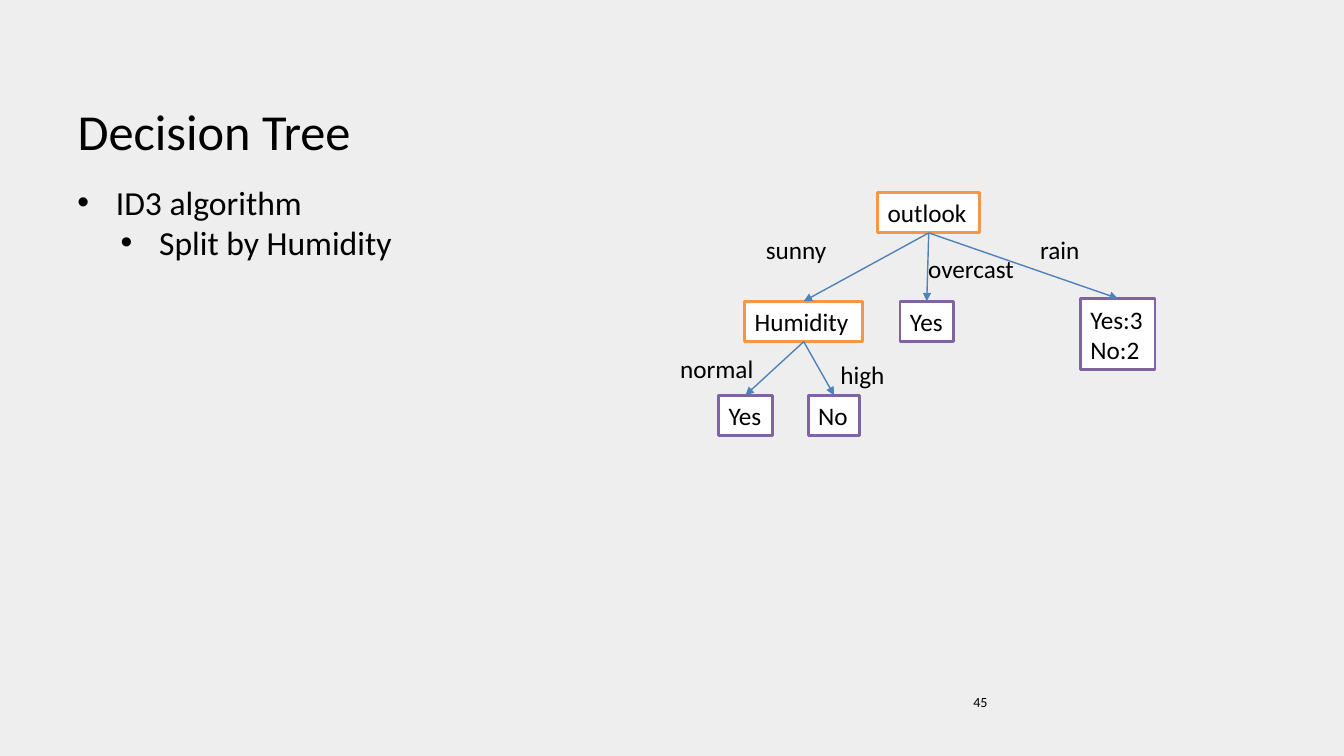
"""Build a slide showing an ID3 decision tree after the split by humidity."""
from dataclasses import dataclass

from lxml import etree
from pptx import Presentation
from pptx.dml.color import RGBColor as Rgb
from pptx.enum.shapes import MSO_CONNECTOR as Connector, MSO_SHAPE as Preset
from pptx.enum.text import MSO_ANCHOR as Anchor, MSO_AUTO_SIZE as AutoSize, PP_ALIGN as Align
from pptx.oxml.ns import qn
from pptx.util import Cm, Pt


@dataclass(frozen=True)
class Theme:
    font: str = "Calibri"
    background: Rgb = Rgb(0xEE, 0xEE, 0xEE)
    text: Rgb = Rgb(0, 0, 0)
    box: Rgb = Rgb(255, 255, 255)
    split: Rgb = Rgb(0xF7, 0x96, 0x46)
    leaf: Rgb = Rgb(0x80, 0x64, 0xA2)
    arrow: Rgb = Rgb(0x4F, 0x81, 0xBD)
    title_size: Pt = Pt(36)
    body_size: Pt = Pt(24)
    tree_size: Pt = Pt(18)
    number_size: Pt = Pt(10)


theme = Theme()


def write(shape, text, size, wrap=True):
    """Fill a shape with left-aligned text in the theme font."""
    frame = shape.text_frame
    frame.text = text
    frame.word_wrap = wrap
    frame.auto_size = AutoSize.NONE if wrap else AutoSize.SHAPE_TO_FIT_TEXT
    for paragraph in frame.paragraphs:
        paragraph.alignment = Align.LEFT
        for run in paragraph.runs:
            run.font.name = theme.font
            run.font.size = size
            run.font.color.rgb = theme.text
    return frame


deck = Presentation()
deck.slide_width, deck.slide_height = Cm(33.87), Cm(19.05)
slide = deck.slides.add_slide(deck.slide_layouts[5])
slide.background.fill.solid()
slide.background.fill.fore_color.rgb = theme.background
shapes = slide.shapes

title = shapes.title
title.left, title.top, title.width, title.height = Cm(1.7), Cm(0.99), Cm(30.48), Cm(3.18)
write(title, "Decision Tree", theme.title_size).vertical_anchor = Anchor.BOTTOM

outline = shapes.add_textbox(Cm(1.7), Cm(4.45), Cm(30.48), Cm(12.57))
outline_frame = write(outline, "ID3 algorithm\nSplit by Humidity", theme.body_size)
for level, (paragraph, margin) in enumerate(zip(outline_frame.paragraphs, (0.97, 2.06))):
    paragraph.level = level
    properties = paragraph._p.get_or_add_pPr()
    properties.set("marL", str(Cm(margin)))
    properties.set("indent", str(Cm(-0.97)))
    etree.SubElement(properties, qn("a:buFont"), typeface="Arial")
    etree.SubElement(properties, qn("a:buChar"), char="•")

page_number = shapes.add_textbox(Cm(24.28), Cm(17.35), Cm(7.9), Cm(1.32))
write(page_number, "45", theme.number_size)

tree = {
    "outlook": ("outlook", theme.split, 22.12, 4.85, 2.57, 1.02),
    "humidity": ("Humidity", theme.split, 18.77, 7.59, 2.97, 1.02),
    "overcast": ("Yes", theme.leaf, 22.68, 7.59, 1.35, 1.02),
    "rain": ("Yes:3\nNo:2", theme.leaf, 27.23, 7.52, 1.88, 1.8),
    "normal": ("Yes", theme.leaf, 18.11, 9.96, 1.35, 1.02),
    "high": ("No", theme.leaf, 20.37, 9.96, 1.3, 1.02),
}
nodes = {}
for key, (text, colour, *place) in tree.items():
    node = shapes.add_shape(Preset.RECTANGLE, *map(Cm, place))
    node.shadow.inherit = False
    node.fill.solid()
    node.fill.fore_color.rgb = theme.box
    node.line.color.rgb = colour
    node.line.width = Pt(2)
    write(node, text, theme.tree_size, wrap=False)
    nodes[key] = node

branches = [
    ("outlook", "humidity", "sunny", 19.05, 5.79, 2.08),
    ("outlook", "overcast", "overcast", 23.14, 6.27, 2.77),
    ("outlook", "rain", "rain", 25.96, 5.79, 1.52),
    ("humidity", "normal", "normal", 16.89, 8.79, 2.41),
    ("humidity", "high", "high", 20.93, 8.92, 1.68),
]
for parent, child, value, left, top, width in branches:
    branch = shapes.add_connector(Connector.STRAIGHT, 0, 0, 0, 0)
    branch.begin_connect(nodes[parent], 2)
    branch.end_connect(nodes[child], 0)
    branch.line.color.rgb = theme.arrow
    branch.line.width = Pt(1)
    etree.SubElement(branch.line._get_or_add_ln(), qn("a:tailEnd"), type="triangle")
    etree.SubElement(branch._element.spPr, qn("a:effectLst"))
    value_label = shapes.add_textbox(Cm(left), Cm(top), Cm(width), Cm(1.02))
    write(value_label, value, theme.tree_size, wrap=False)

deck.save("out.pptx")
